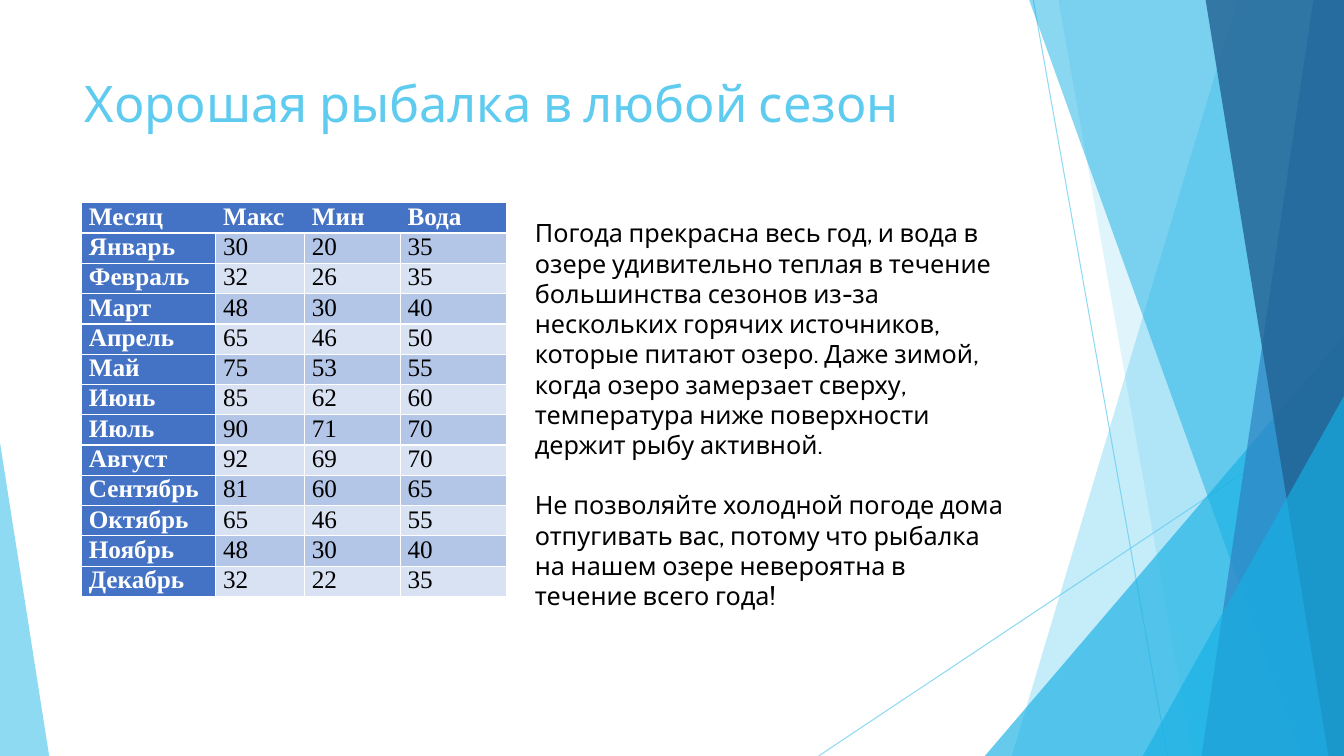
from lxml import etree
from pptx import Presentation
from pptx.dml.color import RGBColor
from pptx.enum.shapes import MSO_CONNECTOR, MSO_SHAPE
from pptx.enum.text import MSO_ANCHOR, MSO_AUTO_SIZE, PP_ALIGN
from pptx.oxml.ns import qn
from pptx.util import Cm, Pt

STRAIGHT = MSO_CONNECTOR.STRAIGHT
TRIANGLE = MSO_SHAPE.ISOSCELES_TRIANGLE
TOP = MSO_ANCHOR.TOP
LEFT = PP_ALIGN.LEFT
NO_AUTOFIT = MSO_AUTO_SIZE.NONE
GROW = MSO_AUTO_SIZE.SHAPE_TO_FIT_TEXT

SKY = RGBColor(0x5F, 0xCB, 0xEF)
CYAN = RGBColor(0x17, 0xB0, 0xE4)
BLUE = RGBColor(0x2E, 0x83, 0xC3)
NAVY = RGBColor(0x22, 0x62, 0x92)
WHITE = RGBColor(0xFF, 0xFF, 0xFF)
BLACK = RGBColor(0x00, 0x00, 0x00)
HEADER_FILL = RGBColor(0x44, 0x72, 0xC4)
ROW_FILLS = [RGBColor(0xD9, 0xE2, 0xF3), RGBColor(0xB4, 0xC6, 0xE7)]

WIDTH, HEIGHT = 33.87, 19.05


def set_opacity(shape, percent):
    """Make every colour of the shape's fill and line partly transparent."""
    for color in shape._element.spPr.iter(qn("a:srgbClr")):
        etree.SubElement(color, qn("a:alpha"), val=str(percent * 1000))


def add_text(paragraph, text, font_name, size, color, bold=False):
    run = paragraph.add_run()
    run.text = text
    run.font.name = font_name
    run.font.size = Pt(size)
    run.font.color.rgb = color
    run.font.bold = bold


presentation = Presentation()
presentation.slide_width = Cm(WIDTH)
presentation.slide_height = Cm(HEIGHT)
slide = presentation.slides.add_slide(presentation.slide_layouts[5])
shapes = slide.shapes

# Thin crossing lines
for x1, y1, x2, y2 in [(26.04, 0, 29.42, HEIGHT), (WIDTH, 10.23, 20.63, HEIGHT)]:
    line = shapes.add_connector(STRAIGHT, Cm(x1), Cm(y1), Cm(x2), Cm(y2))
    line.line.color.rgb = SKY
    line.line.width = Pt(0.75)
    set_opacity(line, 70)
    etree.SubElement(line._element.spPr, qn("a:effectLst"))

# Bands: top-left x, bottom-left x; each runs to the right edge of the slide.
# Triangles: left, top, width, place of the apex (0 left, 1 right).
facets = [
    ("band", (31.19, 25.5), SKY, 36),
    ("band", (26.67, 30.05), SKY, 20),
    ("triangle", (24.82, 8.46, 9.05, 1), CYAN, 66),
    ("band", (25.93, 32.79), CYAN, 50),
    ("band", (33.1, 30.28), BLUE, 70),
    ("band", (30.38, 33.48), NAVY, 80),
    ("triangle", (28.8, 9.98, 5.07, 1), CYAN, 66),
    ("triangle", (0, 11.15, 1.24, 0), SKY, 70),
]
for kind, geometry, color, opacity in facets:
    if kind == "band":
        top_x, bottom_x = geometry
        builder = shapes.build_freeform(Cm(top_x), Cm(-0.02))
        builder.add_line_segments([
            (Cm(WIDTH), Cm(-0.02)),
            (Cm(WIDTH), Cm(HEIGHT)),
            (Cm(bottom_x), Cm(HEIGHT)),
        ])
        facet = builder.convert_to_shape()
    else:
        left, top, width, apex = geometry
        facet = shapes.add_shape(
            TRIANGLE, Cm(left), Cm(top), Cm(width), Cm(HEIGHT - top))
        facet.adjustments[0] = apex
    facet.shadow.inherit = False
    facet.fill.solid()
    facet.fill.fore_color.rgb = color
    facet.line.fill.background()
    set_opacity(facet, opacity)

# Title, brought in front of the facets
title = shapes.title
title.left, title.top, title.width, title.height = Cm(1.88), Cm(1.7), Cm(23.88), Cm(3.66)
title.text_frame.auto_size = NO_AUTOFIT
title.text_frame.vertical_anchor = TOP
title_paragraph = title.text_frame.paragraphs[0]
title_paragraph.alignment = LEFT
add_text(title_paragraph, "Хорошая рыбалка в любой сезон", "Cabin", 36, SKY)
title._element.getparent().append(title._element)

# Description
description = shapes.add_textbox(Cm(13.23), Cm(5.36), Cm(12.55), Cm(9.5))
frame = description.text_frame
frame.word_wrap = True
frame.auto_size = GROW
add_text(
    frame.paragraphs[0],
    "Погода прекрасна весь год, и вода в озере удивительно теплая в течение "
    "большинства сезонов из-за нескольких горячих источников, которые питают "
    "озеро. Даже зимой, когда озеро замерзает сверху, температура ниже "
    "поверхности держит рыбу активной.",
    "Cabin", 18, BLACK)
invitation = frame.add_paragraph()
invitation.space_before = Pt(21.6)
add_text(
    invitation,
    "Не позволяйте холодной погоде дома отпугивать вас, потому что рыбалка "
    "на нашем озере невероятна в течение всего года!",
    "Cabin", 18, BLACK)

# Temperature table
temperatures = [
    ("Месяц", "Макс", "Мин", "Вода"),
    ("Январь", 30, 20, 35),
    ("Февраль", 32, 26, 35),
    ("Март", 48, 30, 40),
    ("Апрель", 65, 46, 50),
    ("Май", 75, 53, 55),
    ("Июнь", 85, 62, 60),
    ("Июль", 90, 71, 70),
    ("Август", 92, 69, 70),
    ("Сентябрь", 81, 60, 65),
    ("Октябрь", 65, 46, 55),
    ("Ноябрь", 48, 30, 40),
    ("Декабрь", 32, 22, 35),
]
column_widths = [3.38, 2.24, 2.41, 2.67]
row_height = 0.76
table = shapes.add_table(
    len(temperatures), len(column_widths), Cm(2.06), Cm(5.11),
    Cm(sum(column_widths)), Cm(row_height * len(temperatures))).table
for column, width in zip(table.columns, column_widths):
    column.width = Cm(width)

last_column = len(column_widths) - 1
for row_index, values in enumerate(temperatures):
    table.rows[row_index].height = Cm(row_height)
    for column_index, value in enumerate(values):
        cell = table.cell(row_index, column_index)
        cell.margin_left = cell.margin_right = Cm(0.18)
        cell.margin_top = cell.margin_bottom = 0
        is_header = row_index == 0 or column_index == 0

        hidden_edges = set()
        if row_index == 0 and column_index > 0:
            hidden_edges.add("lnL")
        if row_index == 0 and column_index < last_column:
            hidden_edges.add("lnR")
        for edge in ("lnL", "lnR", "lnT", "lnB"):
            border = etree.SubElement(
                cell._tc.get_or_add_tcPr(), qn(f"a:{edge}"), w=str(Pt(1)))
            if edge in hidden_edges:
                etree.SubElement(border, qn("a:noFill"))
            else:
                border_fill = etree.SubElement(border, qn("a:solidFill"))
                etree.SubElement(border_fill, qn("a:srgbClr"), val=str(WHITE))

        cell.fill.solid()
        cell.fill.fore_color.rgb = HEADER_FILL if is_header else ROW_FILLS[row_index % 2]
        add_text(
            cell.text_frame.paragraphs[0], str(value), "Times New Roman", 18,
            WHITE if is_header else BLACK, bold=is_header)

presentation.save("out.pptx")
